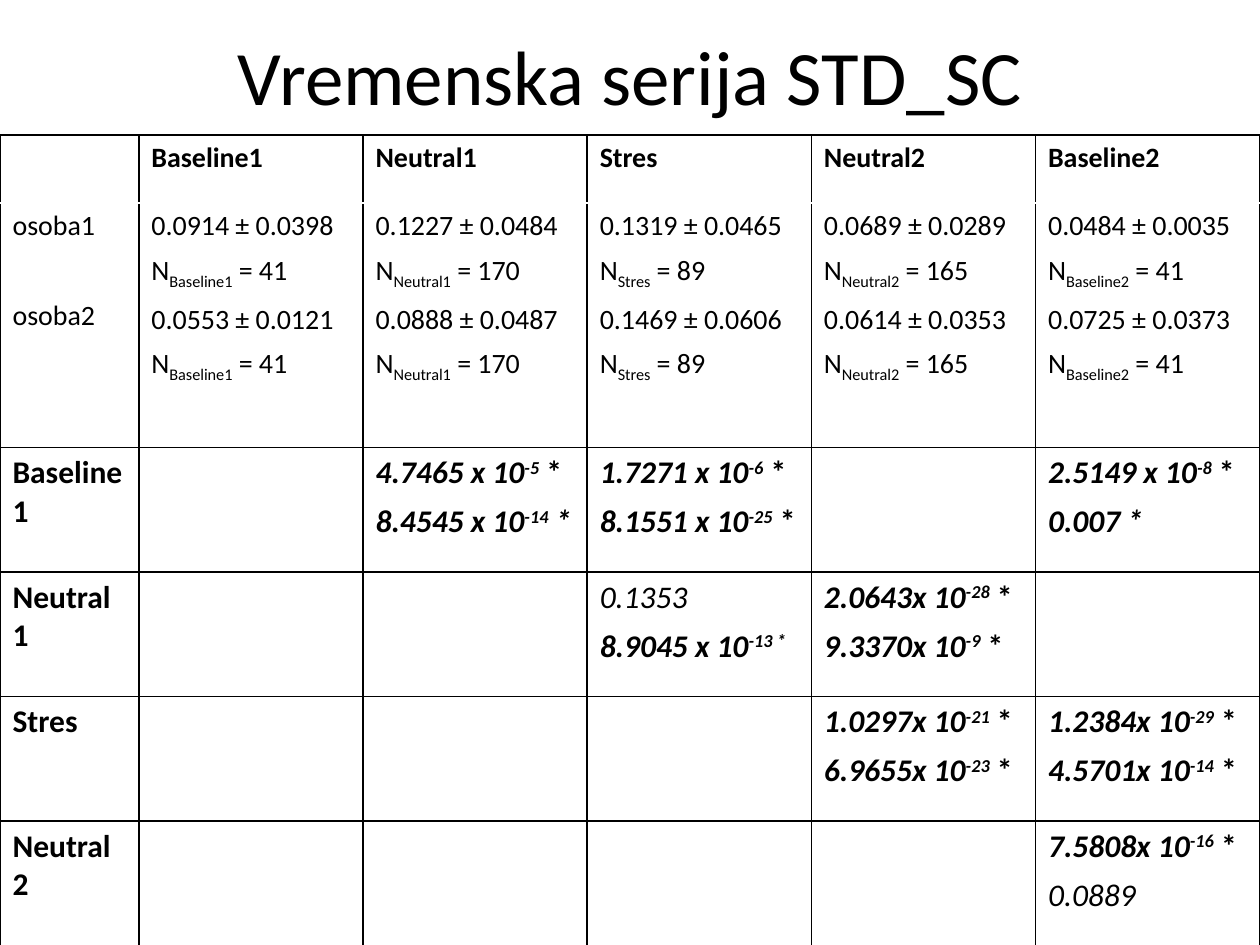
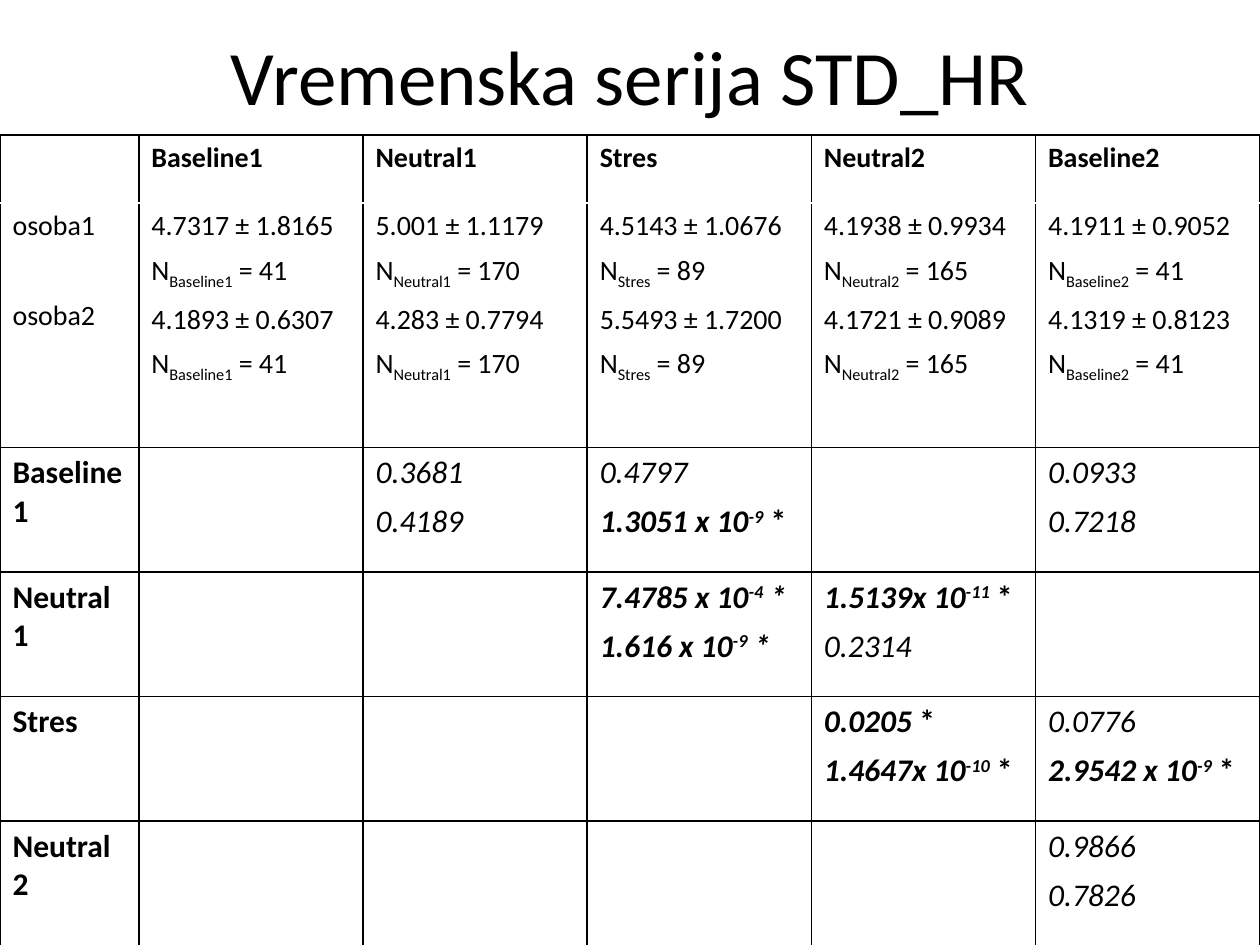
from dataclasses import dataclass

from lxml import etree
from pptx import Presentation, util as u
from pptx.dml import color as dml
from pptx.enum import text
from pptx.oxml import ns

COLORS = {"ink": "000000", "paper": "FFFFFF"}
FONT = "Calibri"
TITLE_SIZE, SUMMARY_SIZE, COMPARISON_SIZE = 44, 16, 18
STAGE_SIZES = {"Baseline1": 41, "Neutral1": 170, "Stres": 89, "Neutral2": 165, "Baseline2": 41}
STAGES = list(STAGE_SIZES)
PERSONS = ("osoba1", "osoba2")
LABEL_WIDTH, STAGE_WIDTH = u.Cm(2.8), u.Cm(4.52)
HEADER_HEIGHT, SUMMARY_HEIGHT, COMPARISON_HEIGHT = u.Cm(1.37), u.Cm(4.93), u.Cm(2.51)
TABLE_TOP = u.Cm(2.72)
PARA_GAP = 6
PERSON_GAP = 31.5


@dataclass(frozen=True)
class PValue:
    """Probability with an optional power of ten and significance mark."""
    number: str
    exponent: str = ""
    star: str = ""
    slanted_star: bool = False

    @property
    def significant(self) -> bool:
        """Tell whether the value is set in bold."""
        return bool(self.exponent or self.star)


def power(number: str, exponent: str, slanted_star: bool = False) -> PValue:
    """Make a significant value with a power of ten and a star."""
    return PValue(number, exponent, " *", slanted_star)


@dataclass(frozen=True)
class Series:
    """Title, stage summaries per person and comparisons between stages."""
    title: str
    summaries: tuple[tuple[str, ...], ...]
    comparisons: dict[tuple[str, str], tuple[PValue, PValue]]


SERIES = (
    Series(
        "Vremenska serija STD_SC",
        (
            ("0.0914 ± 0.0398", "0.1227 ± 0.0484", "0.1319 ± 0.0465",
             "0.0689 ± 0.0289", "0.0484 ± 0.0035"),
            ("0.0553 ± 0.0121", "0.0888 ± 0.0487", "0.1469 ± 0.0606",
             "0.0614 ± 0.0353", "0.0725 ± 0.0373"),
        ),
        {
            ("Baseline1", "Neutral1"): (power("4.7465 x 10", "-5"),
                                        power("8.4545 x 10", "-14", True)),
            ("Baseline1", "Stres"): (power("1.7271 x 10", "-6"), power("8.1551 x 10", "-25")),
            ("Baseline1", "Baseline2"): (power("2.5149 x 10", "-8"),
                                         PValue("0.007", star=" *", slanted_star=True)),
            ("Neutral1", "Stres"): (PValue("0.1353"), PValue("8.9045 x 10", "-13 *")),
            ("Neutral1", "Neutral2"): (power("2.0643x 10", "-28"), power("9.3370x 10", "-9")),
            ("Stres", "Neutral2"): (power("1.0297x 10", "-21"), power("6.9655x 10", "-23")),
            ("Stres", "Baseline2"): (power("1.2384x 10", "-29"), power("4.5701x 10", "-14")),
            ("Neutral2", "Baseline2"): (power("7.5808x 10", "-16"), PValue("0.0889")),
        },
    ),
    Series(
        "Vremenska serija STD_HR",
        (
            ("4.7317 ± 1.8165", "5.001 ± 1.1179", "4.5143 ± 1.0676",
             "4.1938 ± 0.9934", "4.1911 ± 0.9052"),
            ("4.1893 ± 0.6307", "4.283 ± 0.7794", "5.5493 ± 1.7200",
             "4.1721 ± 0.9089", "4.1319 ± 0.8123"),
        ),
        {
            ("Baseline1", "Neutral1"): (PValue("0.3681"), PValue("0.4189")),
            ("Baseline1", "Stres"): (PValue("0.4797"), power("1.3051 x 10", "-9")),
            ("Baseline1", "Baseline2"): (PValue("0.0933"), PValue("0.7218")),
            ("Neutral1", "Stres"): (power("7.4785 x 10", "-4", True),
                                    power("1.616 x 10", "-9", True)),
            ("Neutral1", "Neutral2"): (power("1.5139x 10", "-11"), PValue("0.2314")),
            ("Stres", "Neutral2"): (PValue("0.0205", star=" *"), power("1.4647x 10", "-10")),
            ("Stres", "Baseline2"): (PValue("0.0776"), power("2.9542 x 10", "-9")),
            ("Neutral2", "Baseline2"): (PValue("0.9866"), PValue("0.7826")),
        },
    ),
)


def add_span(para, words: str, size: float, bold: bool = False, italic: bool = False,
             baseline: int = 0) -> None:
    """Add one formatted run, raised or lowered by a percentage."""
    span = para.add_run()
    span.text = words
    span.font.name = FONT
    span.font.size = u.Pt(size)
    span.font.bold = bold
    span.font.italic = italic
    span.font.color.rgb = dml.RGBColor.from_string(COLORS["ink"])
    if baseline:
        span._r.get_or_add_rPr().set("baseline", str(baseline * 1000))


def next_para(cell, gap: float = PARA_GAP):
    """Return the cell's unused first paragraph or a new one."""
    frame = cell.text_frame
    para = frame.paragraphs[0] if not frame.text else frame.add_paragraph()
    para.alignment = text.PP_ALIGN.JUSTIFY
    para.space_before = u.Pt(gap)
    return para


def style_cell(cell, top: str, bottom: str) -> None:
    """Fill a cell and draw its four borders."""
    cell.fill.solid()
    cell.fill.fore_color.rgb = dml.RGBColor.from_string(COLORS["paper"])
    properties = cell._tc.get_or_add_tcPr()
    edges = {"lnL": "ink", "lnR": "ink", "lnT": top, "lnB": bottom}
    for position, (edge, shade) in enumerate(edges.items()):
        line = etree.Element(ns.qn(f"a:{edge}"), w=str(u.Pt(1)))
        fill = etree.SubElement(line, ns.qn("a:solidFill"))
        etree.SubElement(fill, ns.qn("a:srgbClr"), val=COLORS[shade])
        properties.insert(position, line)


def write_summary(cell, stage: str, values: tuple[str, ...]) -> None:
    """Write each person's mean, deviation and sample size."""
    for value in values:
        add_span(next_para(cell), value, SUMMARY_SIZE)
        para = next_para(cell)
        add_span(para, "N", SUMMARY_SIZE)
        add_span(para, stage, SUMMARY_SIZE, baseline=-25)
        add_span(para, f" = {STAGE_SIZES[stage]}", SUMMARY_SIZE)


def write_value(cell, value: PValue) -> None:
    """Write one probability as a paragraph."""
    para = next_para(cell)
    bold = value.significant
    add_span(para, value.number, COMPARISON_SIZE, bold, True)
    if value.exponent:
        add_span(para, value.exponent, COMPARISON_SIZE, bold, True, 30)
    if value.star:
        add_span(para, value.star, COMPARISON_SIZE, bold, value.slanted_star)


def add_title(page, words: str) -> None:
    """Place and write the slide title."""
    box = page.shapes.title
    box.left, box.top, box.width, box.height = u.Cm(1.27), u.Cm(-0.08), u.Cm(22.86), u.Cm(3.18)
    box.text_frame.vertical_anchor = text.MSO_ANCHOR.MIDDLE
    para = box.text_frame.paragraphs[0]
    para.alignment = text.PP_ALIGN.CENTER
    add_span(para, words, TITLE_SIZE)


def add_grid(page, series: Series) -> None:
    """Draw the table of summaries and stage comparisons."""
    widths = [LABEL_WIDTH] + [STAGE_WIDTH] * len(STAGES)
    compared = STAGES[:-1]
    heights = [HEADER_HEIGHT, SUMMARY_HEIGHT] + [COMPARISON_HEIGHT] * len(compared)
    grid = page.shapes.add_table(len(heights), len(widths), 0, TABLE_TOP,
                                 sum(widths), sum(heights)).table
    grid.first_row = grid.horz_banding = False
    for column, width in zip(grid.columns, widths):
        column.width = width
    for index, (row, height) in enumerate(zip(grid.rows, heights)):
        row.height = height
        for cell in row.cells:
            style_cell(cell, "paper" if index == 1 else "ink", "paper" if index == 0 else "ink")

    for index, person in enumerate(PERSONS):
        add_span(next_para(grid.cell(1, 0), PERSON_GAP if index else PARA_GAP),
                 person, SUMMARY_SIZE)
    for column, (stage, values) in enumerate(zip(STAGES, zip(*series.summaries)), 1):
        add_span(next_para(grid.cell(0, column)), stage, SUMMARY_SIZE, True)
        write_summary(grid.cell(1, column), stage, values)
    for row, stage in enumerate(compared, 2):
        add_span(next_para(grid.cell(row, 0)), stage, COMPARISON_SIZE, True)
    for (first, second), values in series.comparisons.items():
        cell = grid.cell(STAGES.index(first) + 2, STAGES.index(second) + 1)
        for value in values:
            write_value(cell, value)


def main() -> None:
    """Build and save the deck."""
    deck = Presentation()
    deck.slide_width, deck.slide_height = u.Cm(25.4), u.Cm(19.05)
    for series in SERIES:
        page = deck.slides.add_slide(deck.slide_layouts[5])
        add_title(page, series.title)
        add_grid(page, series)
    deck.save("out.pptx")


if __name__ == "__main__":
    main()
